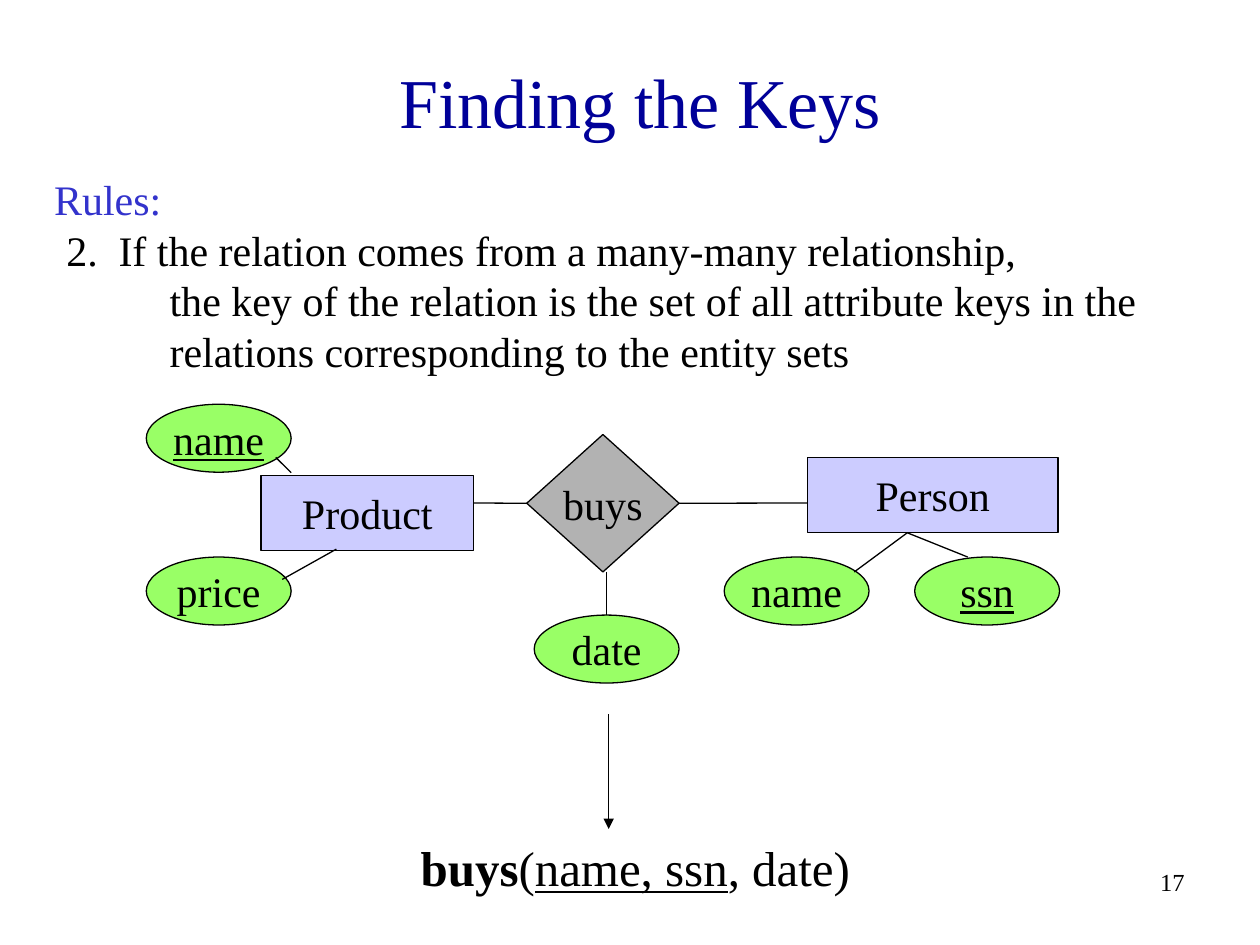
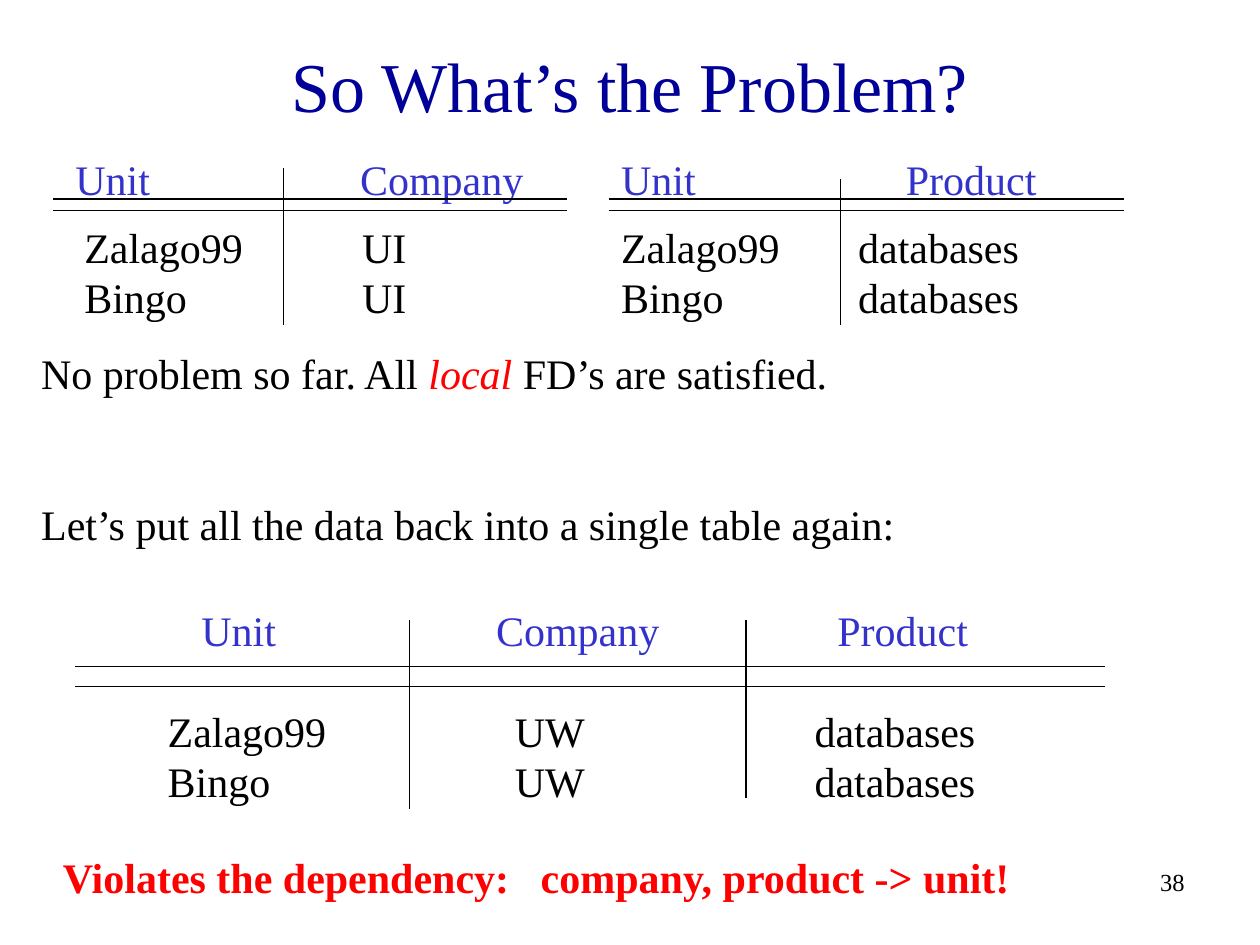
from lxml import etree
from pptx import Presentation
from pptx.dml.color import RGBColor
from pptx.enum.shapes import MSO_CONNECTOR, MSO_SHAPE
from pptx.enum.text import MSO_ANCHOR, PP_ALIGN
from pptx.oxml.ns import qn
from pptx.util import Cm, Pt

# Shared look
FONT = "Times New Roman"
BLACK = RGBColor(0x00, 0x00, 0x00)
NAVY = RGBColor(0x00, 0x00, 0x99)
BLUE = RGBColor(0x33, 0x33, 0xCC)
RED = RGBColor(0xFF, 0x00, 0x00)
LILAC = RGBColor(0xCC, 0xCC, 0xFF)
GREEN = RGBColor(0x99, 0xFF, 0x66)
GREY = RGBColor(0xB2, 0xB2, 0xB2)
LINE_WIDTH = Pt(0.75)
BODY_SIZE = 24
LINE_HEIGHT = 1.2

STRAIGHT = MSO_CONNECTOR.STRAIGHT
RECTANGLE, DIAMOND, OVAL = MSO_SHAPE.RECTANGLE, MSO_SHAPE.DIAMOND, MSO_SHAPE.OVAL
LEFT, CENTER, RIGHT = PP_ALIGN.LEFT, PP_ALIGN.CENTER, PP_ALIGN.RIGHT
TOP, MIDDLE = MSO_ANCHOR.TOP, MSO_ANCHOR.MIDDLE
SIDE_TOP, SIDE_LEFT, SIDE_RIGHT = 0, 1, 3


# Text
def style(paragraph, size=BODY_SIZE, color=BLACK, align=LEFT, bold=False):
    paragraph.alignment = align
    paragraph.line_spacing = Pt(size * LINE_HEIGHT)
    for run in paragraph.runs:
        run.font.name = FONT
        run.font.size = Pt(size)
        run.font.bold = bold
        run.font.color.rgb = color


def add_text(slide, left, top, width, height, text, anchor=TOP, **look):
    frame = slide.shapes.add_textbox(Cm(left), Cm(top), Cm(width), Cm(height)).text_frame
    frame.word_wrap = True
    frame.vertical_anchor = anchor
    frame.text = text
    for paragraph in frame.paragraphs:
        style(paragraph, **look)
    return frame


def add_runs(paragraph, texts, **look):
    for text in texts:
        paragraph.add_run().text = text
    style(paragraph, **look)
    return paragraph.runs


def indent(paragraph, margin, first=0.0):
    properties = paragraph._p.get_or_add_pPr()
    properties.set("marL", str(Cm(margin)))
    properties.set("indent", str(Cm(first)))
    return properties


def add_tab_stop(paragraph, position):
    stops = etree.SubElement(paragraph._p.get_or_add_pPr(), qn("a:tabLst"))
    etree.SubElement(stops, qn("a:tab"), pos=str(Cm(position)), algn="l")


def add_slide(deck, title, title_top, title_left, title_height, number):
    slide = deck.slides.add_slide(deck.slide_layouts[6])
    add_text(slide, title_left, title_top, 21.59, title_height, title,
             anchor=MIDDLE, size=40, color=NAVY, align=CENTER)
    add_text(slide, 18.85, 17.35, 5.28, 1.27, number, size=14, align=RIGHT)
    return slide


# Diagram parts
def add_node(slide, kind, fill, left, top, width, height, label, key=False):
    node = slide.shapes.add_shape(kind, Cm(left), Cm(top), Cm(width), Cm(height))
    node.shadow.inherit = False
    node.fill.solid()
    node.fill.fore_color.rgb = fill
    node.line.color.rgb = BLACK
    node.line.width = LINE_WIDTH
    frame = node.text_frame
    frame.word_wrap = False
    frame.vertical_anchor = MIDDLE
    frame.text = label
    style(frame.paragraphs[0], align=CENTER)
    if key:
        frame.paragraphs[0].runs[0].font.underline = True
    return node


def add_entity(slide, left, top, width, label):
    return add_node(slide, RECTANGLE, LILAC, left, top, width, 1.52, label)


def add_attribute(slide, left, top, label, key=False):
    return add_node(slide, OVAL, GREEN, left, top, 2.92, 1.37, label, key)


def add_line(slide, x1, y1, x2, y2, arrow=False):
    line = slide.shapes.add_connector(STRAIGHT, Cm(x1), Cm(y1), Cm(x2), Cm(y2))
    line.line.color.rgb = BLACK
    line.line.width = LINE_WIDTH
    if arrow:
        etree.SubElement(line.line._get_or_add_ln(), qn("a:tailEnd"), type="triangle")
    etree.SubElement(line._element.spPr, qn("a:effectLst"))
    return line


# Relation tables
def add_relation(slide, top, edges, header_height, rows, header_x, body_x):
    """Text starts at header_x or body_x in each column."""
    row_height = 1.02
    height = header_height + row_height * (len(rows) - 1)
    table = slide.shapes.add_table(len(rows), len(edges) - 1, Cm(edges[0]), Cm(top),
                                   Cm(edges[-1] - edges[0]), Cm(height)).table
    table.first_row = False
    table.horz_banding = False
    for column, start, end in zip(table.columns, edges, edges[1:]):
        column.width = Cm(end - start)
    for r, values in enumerate(rows):
        is_header = r == 0
        table.rows[r].height = Cm(header_height if is_header else row_height)
        for c, value in enumerate(values):
            cell = table.cell(r, c)
            cell.fill.background()
            cell.margin_left = Cm((header_x if is_header else body_x)[c] - edges[c])
            cell.margin_top = Cm(0.13 if is_header else 0)
            cell.margin_right = cell.margin_bottom = 0
            cell.text = value
            style(cell.text_frame.paragraphs[0], color=BLUE if is_header else BLACK)


def add_rules(slide, edges, rule_tops, dividers):
    for y in rule_tops:
        add_line(slide, edges[0], y, edges[-1], y)
    for x, (start, end) in zip(edges[1:-1], dividers):
        add_line(slide, x, start, x, end)


def build_keys_slide(deck):
    slide = add_slide(deck, "Finding the Keys", 0.43, 2.11, 3.18, "17")

    # Rule for many-many relationships
    rules = add_text(slide, 0.84, 3.38, 23.5, 4.32,
                     "Rules:\n"
                     "If the relation comes from a many-many relationship,\n"
                     "the key of the relation is the set of all attribute keys in the\n"
                     "relations corresponding to the entity sets").paragraphs
    rules[0].runs[0].font.color.rgb = BLUE
    numbering = indent(rules[1], 1.3, -1.05)
    etree.SubElement(numbering, qn("a:buFont"), typeface=FONT)
    etree.SubElement(numbering, qn("a:buAutoNum"), type="arabicPeriod", startAt="2")
    for continuation in rules[2:]:
        indent(continuation, 2.33)

    # Entities, relationship and attributes
    add_entity(slide, 16.28, 9.22, 5.05, "Person")
    buys = add_node(slide, DIAMOND, GREY, 10.62, 8.76, 3.07, 2.77, "buys")
    add_entity(slide, 5.26, 9.58, 4.29, "Product")
    add_attribute(slide, 2.95, 8.15, "name", key=True)
    add_attribute(slide, 2.95, 11.23, "price")
    add_attribute(slide, 14.6, 11.23, "name")
    add_attribute(slide, 18.44, 11.23, "ssn", key=True)
    date = add_attribute(slide, 10.77, 12.4, "date")

    # Links
    for ends in ((5.87, 9.53, 5.56, 9.22), (6.78, 11.07, 5.69, 11.68),
                 (18.29, 10.74, 17.22, 11.53), (18.29, 10.74, 19.51, 11.23)):
        add_line(slide, *ends)
    add_line(slide, 9.55, 10.14, 10.62, 10.14).end_connect(buys, SIDE_LEFT)
    add_line(slide, 13.69, 10.14, 16.28, 10.14).begin_connect(buys, SIDE_RIGHT)
    add_line(slide, 12.23, 11.53, 12.23, 12.4).end_connect(date, SIDE_TOP)
    add_line(slide, 12.27, 14.4, 12.27, 16.71, arrow=True)

    # Resulting relation
    result = add_text(slide, 8.23, 16.76, 10, 1.45, "").paragraphs[0]
    relation, _, key, _ = add_runs(result, ["buys", "(", "name, ssn", ", date)"], size=28)
    relation.font.bold = True
    key.font.underline = True


def build_problem_slide(deck):
    slide = add_slide(deck, "So What’s the Problem?", 0.64, 1.9, 2.11, "38")

    # Decomposed relations
    company_edges = (1.07, 5.72, 11.43)
    product_edges = (12.27, 16.94, 22.66)
    add_relation(slide, 2.97, company_edges, 1.5,
                 [("Unit", "Company"), ("Zalago99", "UI"), ("Bingo", "UI")],
                 header_x=(1.52, 7.26), body_x=(1.7, 7.3))
    add_relation(slide, 2.97, product_edges, 1.5,
                 [("Unit", "Product"), ("Zalago99", "databases"), ("Bingo", "databases")],
                 header_x=(12.52, 18.26), body_x=(12.52, 17.3))
    add_rules(slide, company_edges, (4.01, 4.24), [(3.38, 6.55)])
    add_rules(slide, product_edges, (4.01, 4.24), [(3.61, 6.55)])

    # Remarks
    remarks = add_text(slide, 0.58, 6.88, 19, 4.32, "")
    _, local, _ = add_runs(remarks.paragraphs[0],
                           ["No problem so far. All ", "local", " FD’s are satisfied."])
    local.font.italic = True
    local.font.color.rgb = RED
    rejoin = remarks.add_paragraph()
    rejoin.text = "Let’s put all the data back into a single table again:"
    style(rejoin)
    rejoin.space_before = Pt(2 * BODY_SIZE * LINE_HEIGHT)

    # Rejoined relation
    joined_edges = (1.52, 8.26, 15.04, 22.28)
    add_relation(slide, 12.07, joined_edges, 2.16,
                 [("Unit", "Company", "Product"),
                  ("Zalago99", "UW", "databases"),
                  ("Bingo", "UW", "databases")],
                 header_x=(4.06, 10, 16.88), body_x=(3.38, 10.38, 16.42))
    add_rules(slide, joined_edges, (13.44, 13.84), [(12.5, 16.31), (12.5, 16.08)])

    # Conclusion
    violation = add_text(slide, 1.02, 17.04, 20.5, 1.27,
                         "Violates the dependency:\tcompany, product -> unit!",
                         color=RED, bold=True)
    add_tab_stop(violation.paragraphs[0], 9.63)


def main():
    deck = Presentation()
    deck.slide_width = Cm(25.4)
    deck.slide_height = Cm(19.05)
    build_keys_slide(deck)
    build_problem_slide(deck)
    deck.save("out.pptx")


if __name__ == "__main__":
    main()
